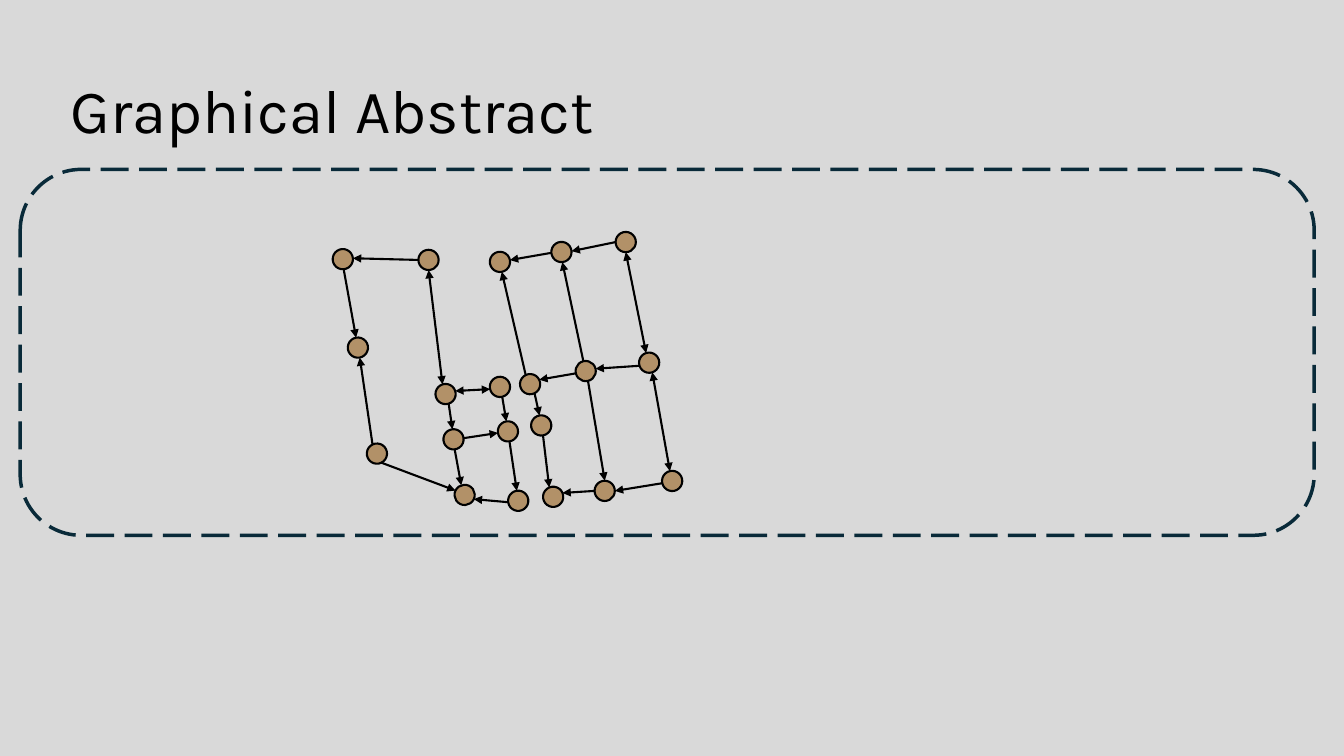
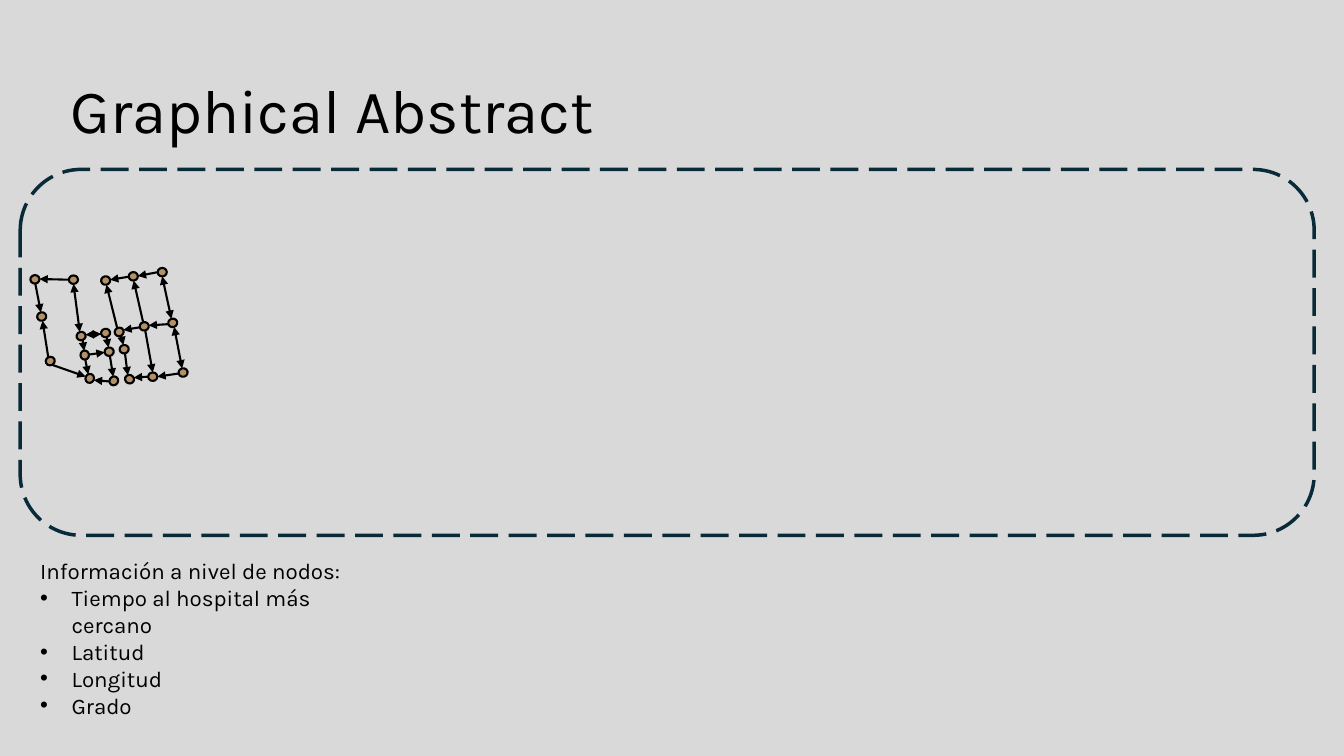
import math

import pptx
import pptx.dml.color
import pptx.enum.dml
import pptx.enum.shapes
import pptx.enum.text
import pptx.oxml
import pptx.oxml.ns
import pptx.util
from pptx.util import Cm

COLOURS = {"page": "D9D9D9", "frame": "092A39", "node": "B29168", "ink": "000000"}
FONT = "Karla"
DIAMETER = 0.51

NODE_FIELDS = ("centre x", "centre y", "rotation", "connection sites")
NODES = {
    "A": (8.64, 6.53, -4.9, 4),
    "B": (10.8, 6.55, 0, 4),
    "C": (9.02, 8.76, -10.4, 4),
    "D": (9.5, 11.43, -25.9, 4),
    "E": (11.23, 9.93, -17.6, 4),
    "F": (12.6, 9.75, -12.8, 4),
    "G": (11.43, 11.07, -96.4, 4),
    "H": (12.8, 10.87, -8.9, 4),
    "I": (11.71, 12.47, -64.7, 8),
    "J": (13.06, 12.62, -53, 8),
    "K": (12.6, 6.6, -10.4, 4),
    "L": (14.15, 6.35, -4.9, 4),
    "M": (15.77, 6.1, 0, 4),
    "N": (13.36, 9.68, -25.9, 4),
    "O": (14.76, 9.35, -13.2, 4),
    "P": (16.36, 9.14, -17.6, 4),
    "Q": (13.64, 10.72, -10.1, 4),
    "R": (13.94, 12.52, 22.3, 8),
    "S": (15.24, 12.37, 0, 4),
    "T": (16.94, 12.12, -12.8, 4),
}
TWO_WAY = ["BE", "FE", "MP", "TP"]
ONE_WAY = [
    "BA", "AC", "DC", "EG", "GI", "GH", "FH", "DI", "HJ", "JI",
    "ML", "LK", "NK", "PO", "ON", "OL", "OS", "TS", "NQ", "QR", "SR",
]


def colour(name):
    return pptx.dml.color.RGBColor.from_string(COLOURS[name])


def add_element(parent, tag, **attributes):
    element = pptx.oxml.parse_xml(f"<a:{tag} {pptx.oxml.ns.nsdecls('a')}/>")
    for key, value in attributes.items():
        element.set(key, value)
    parent.append(element)


def site(name, other):
    x, y, rotation, count = NODES[name]
    aim = math.atan2(NODES[other][1] - y, NODES[other][0] - x)
    step = math.tau / count
    turn = math.radians(rotation)
    angle = turn + round((aim - turn) / step) * step
    return x + DIAMETER / 2 * math.cos(angle), y + DIAMETER / 2 * math.sin(angle)


class Slides:
    def __init__(self):
        self.deck = pptx.Presentation()
        self.deck.slide_width = Cm(33.87)
        self.deck.slide_height = Cm(19.05)
        fill = self.deck.slide_master.background.fill
        fill.solid()
        fill.fore_color.rgb = colour("page")
        self.page = None

    def start(self, layout, title):
        self.page = self.deck.slides.add_slide(self.deck.slide_layouts[layout])
        box = self.page.shapes.title
        self.place(box, 1.52, 1.02, 29.21, 3.68)
        box.text_frame.vertical_anchor = pptx.enum.text.MSO_ANCHOR.MIDDLE
        para = box.text_frame.paragraphs[0]
        para.line_spacing = 0.9
        self.add_span(para, title, 44)

    def place(self, box, left, top, width, height):
        box.left, box.top = Cm(left), Cm(top)
        box.width, box.height = Cm(width), Cm(height)

    def add_span(self, para, text, size):
        para.alignment = pptx.enum.text.PP_ALIGN.LEFT
        span = para.add_run()
        span.text = text
        span.font.name = FONT
        span.font.size = pptx.util.Pt(size)
        span.font.color.rgb = colour("ink")

    def outline(self, shape, name, width):
        shape.line.color.rgb = colour(name)
        shape.line.width = pptx.util.Pt(width)

    def frame(self):
        box = self.page.shapes.add_shape(
            pptx.enum.shapes.MSO_SHAPE.ROUNDED_RECTANGLE,
            Cm(0.51), Cm(4.27), Cm(32.61), Cm(9.22))
        box.shadow.inherit = False
        box.fill.background()
        self.outline(box, "frame", 2.5)
        box.line.dash_style = pptx.enum.dml.MSO_LINE.LONG_DASH

    def arrow(self, shapes, start, end, two_way):
        line = shapes.add_connector(
            pptx.enum.shapes.MSO_CONNECTOR.STRAIGHT,
            Cm(start[0]), Cm(start[1]), Cm(end[0]), Cm(end[1]))
        self.outline(line, "ink", 1.5)
        properties = line.get_or_add_ln()
        if two_way:
            add_element(properties, "headEnd", type="triangle")
        add_element(properties, "tailEnd", type="triangle")
        add_element(line._element.spPr, "effectLst")

    def node(self, shapes, centre, width, height, rotation):
        dot = shapes.add_shape(
            pptx.enum.shapes.MSO_SHAPE.OVAL,
            Cm(centre[0] - width / 2), Cm(centre[1] - height / 2), Cm(width), Cm(height))
        dot.rotation = rotation
        dot.shadow.inherit = False
        dot.fill.solid()
        dot.fill.fore_color.rgb = colour("node")
        self.outline(dot, "ink", 1.5)

    def graph(self, left, top, scale_x=1, scale_y=1):
        first_x, first_y = NODES["A"][:2]

        def fit(point):
            return left + (point[0] - first_x) * scale_x, top + (point[1] - first_y) * scale_y

        shapes = self.page.shapes.add_group_shape().shapes
        for x, y, rotation, _ in NODES.values():
            self.node(shapes, fit((x, y)), DIAMETER * scale_x, DIAMETER * scale_y, rotation)
        for start, end in TWO_WAY + ONE_WAY:
            self.arrow(shapes, fit(site(start, end)), fit(site(end, start)),
                       start + end in TWO_WAY)

    def listing(self, heading, items):
        box = self.page.placeholders[1]
        self.place(box, 0.76, 13.92, 9.25, 3.76)
        text = box.text_frame
        text.word_wrap = True
        text.auto_size = pptx.enum.text.MSO_AUTO_SIZE.SHAPE_TO_FIT_TEXT
        for index, words in enumerate([heading] + items):
            para = text.add_paragraph() if index else text.paragraphs[0]
            para.space_before = pptx.util.Pt(0)
            properties = para._p.get_or_add_pPr()
            indent = Cm(0.79) if index else 0
            properties.set("marL", str(int(indent)))
            properties.set("indent", str(-int(indent)))
            if index:
                add_element(properties, "buFont", typeface="Arial")
                add_element(properties, "buChar", char="•")
            else:
                add_element(properties, "buNone")
            self.add_span(para, words, 16)


def main():
    slides = Slides()
    title = "Graphical Abstract"

    slides.start(5, title)
    slides.frame()
    slides.graph(8.64, 6.53)

    slides.start(1, title)
    slides.graph(0.88, 7.04, 0.45, 0.42)
    slides.frame()
    slides.listing("Información a nivel de nodos:",
                   ["Tiempo al hospital más cercano", "Latitud", "Longitud", "Grado"])

    slides.deck.save("out.pptx")


if __name__ == "__main__":
    main()
